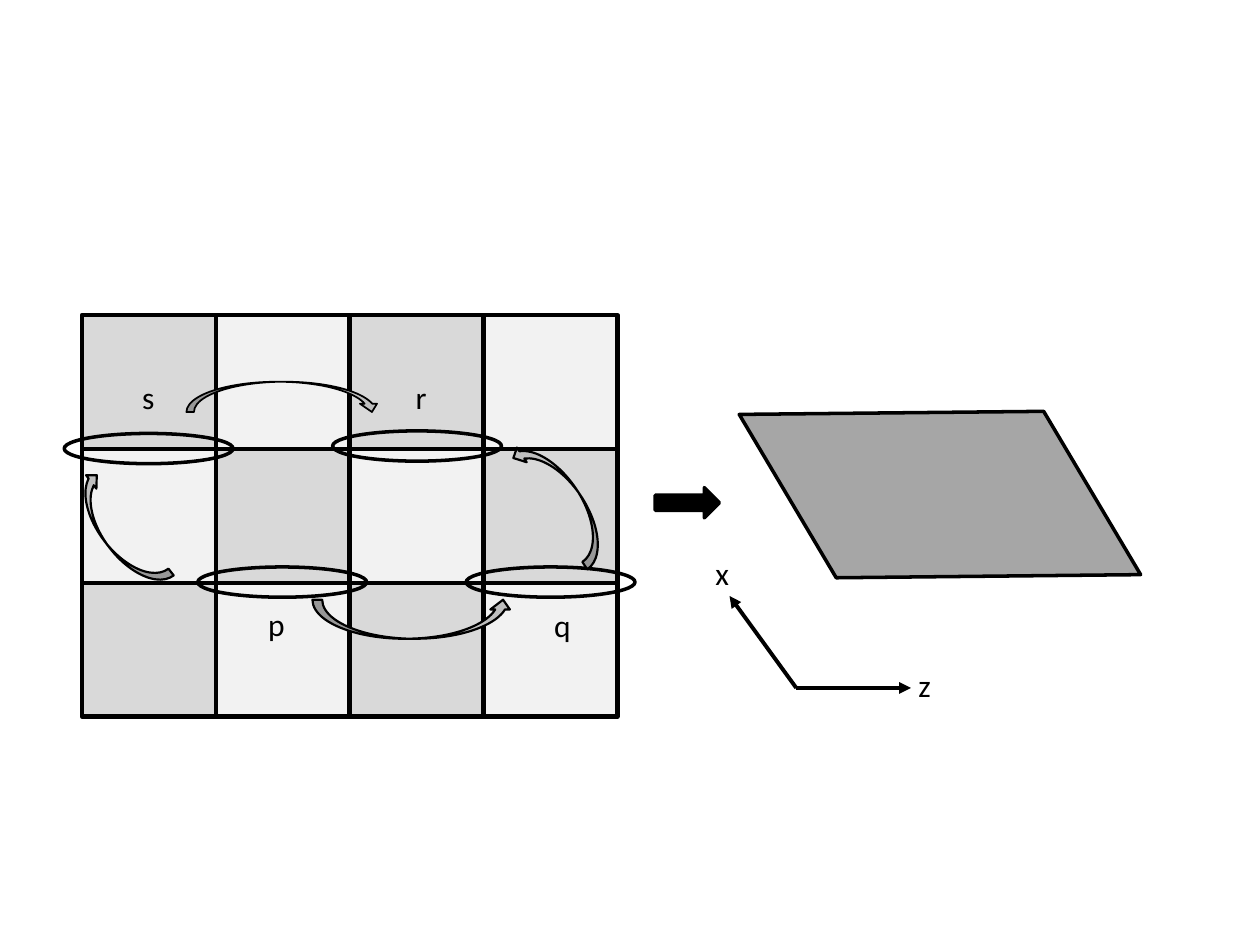
from dataclasses import dataclass
from itertools import product

from pptx import Presentation
from pptx.dml.color import RGBColor
from pptx.enum.shapes import MSO_CONNECTOR, MSO_SHAPE
from pptx.enum.text import MSO_AUTO_SIZE
from pptx.oxml.ns import qn
from pptx.oxml.xmlchemy import OxmlElement
from pptx.shapes.autoshape import Shape
from pptx.shapes.shapetree import GroupShapes
from pptx.slide import Slide
from pptx.util import Inches, Pt

COLORS = {
    "black": "000000",
    "light": "F2F2F2",
    "dark": "D9D9D9",
    "arrow": "BFBFBF",
    "sheet": "A6A6A6",
}
FONT = "Calibri"
ROWS, COLS = 3, 4
GRID_LEFT, GRID_TOP = 0.65, 2.5
CELL = 4.25 / COLS
RING_W, RING_H = 1.34, 0.24


@dataclass
class Figure:
    kind: MSO_SHAPE
    left: float
    top: float
    width: float
    height: float
    fill: str | None = None
    line: float = 2
    rotation: float = 0
    flip_v: bool = False
    adjustments: tuple[float, ...] = ()


@dataclass
class Label:
    text: str
    left: float
    top: float
    width: float = 0.21


RINGS = [
    Figure(MSO_SHAPE.OVAL, left, top, RING_W, RING_H)
    for left, top in [(0.51, 3.44), (2.64, 3.42), (1.57, 4.5), (3.7, 4.5)]
]

CURVED_ARROWS = [
    Figure(MSO_SHAPE.CURVED_UP_ARROW, 0.41, 4.09, 1.07, 0.27, "arrow", 1.25, 232.5, True),
    Figure(MSO_SHAPE.CURVED_UP_ARROW, 3.9, 3.83, 1.13, 0.28, "arrow", 1.25, 236.4),
    Figure(MSO_SHAPE.CURVED_DOWN_ARROW, 1.48, 3.03, 1.54, 0.24, "arrow", 1,
           adjustments=(0.25, 0.565, 0.273)),
    Figure(MSO_SHAPE.CURVED_UP_ARROW, 2.48, 4.76, 1.59, 0.31, "arrow", 1.25),
]

RESULT = [
    Figure(MSO_SHAPE.RIGHT_ARROW, 5.2, 3.87, 0.51, 0.24, "black"),
    Figure(MSO_SHAPE.PARALLELOGRAM, 6.1, 2.88, 2.72, 2.09, "sheet",
           rotation=239.3, adjustments=(0.58,)),
]

AXIS_ORIGIN = (6.32, 5.46)
AXIS_TIPS = [(5.79, 4.73), (7.23, 5.46)]

LABELS = [
    Label("z", 7.19, 5.24, 0.44),
    Label("x", 5.58, 4.35, 0.42),
    Label("p", 2.03, 4.75),
    Label("q", 4.3, 4.76),
    Label("r", 3.2, 2.95),
    Label("s", 1.03, 2.95),
]


def rgb(name: str) -> RGBColor:
    return RGBColor.from_string(COLORS[name])


def draw_figure(s: Slide, fig: Figure) -> Shape:
    sp = s.shapes.add_shape(fig.kind, Inches(fig.left), Inches(fig.top),
                            Inches(fig.width), Inches(fig.height))
    sp.shadow.inherit = False
    if fig.fill:
        sp.fill.solid()
        sp.fill.fore_color.rgb = rgb(fig.fill)
    else:
        sp.fill.background()
    sp.line.color.rgb = rgb("black")
    sp.line.width = Pt(fig.line)
    sp.rotation = fig.rotation
    for i, value in enumerate(fig.adjustments):
        sp.adjustments[i] = value
    if fig.flip_v:
        sp._element.spPr.find(qn("a:xfrm")).set("flipV", "1")
    return sp


def draw_checkerboard(s: Slide) -> None:
    for row, col in product(range(ROWS), range(COLS)):
        fill = "light" if (row + col) % 2 else "dark"
        draw_figure(s, Figure(MSO_SHAPE.RECTANGLE, GRID_LEFT + col * CELL,
                              GRID_TOP + row * CELL, CELL, CELL, fill, 2.5))


def draw_axis(shapes: GroupShapes, tip: tuple[float, float]) -> None:
    axis = shapes.add_connector(MSO_CONNECTOR.STRAIGHT,
                                *(Inches(v) for v in AXIS_ORIGIN + tip))
    axis.line.color.rgb = rgb("black")
    axis.line.width = Pt(2.25)
    head = OxmlElement("a:tailEnd")
    head.set("type", "triangle")
    axis.line._get_or_add_ln().append(head)
    axis._element.spPr.append(OxmlElement("a:effectLst"))


def draw_label(s: Slide, label: Label) -> None:
    box = s.shapes.add_textbox(Inches(label.left), Inches(label.top),
                               Inches(label.width), Inches(0.4))
    tf = box.text_frame
    tf.word_wrap = True
    tf.auto_size = MSO_AUTO_SIZE.SHAPE_TO_FIT_TEXT
    r = tf.paragraphs[0].add_run()
    r.text = label.text
    r.font.name = FONT
    r.font.size = Pt(18)
    r.font.color.rgb = rgb("black")


def main() -> None:
    prs = Presentation()
    prs.slide_width, prs.slide_height = Inches(10), Inches(7.5)
    s = prs.slides.add_slide(prs.slide_layouts[6])
    draw_checkerboard(s)
    for fig in RINGS + CURVED_ARROWS + RESULT:
        draw_figure(s, fig)
    axes = s.shapes.add_group_shape()
    for tip in AXIS_TIPS:
        draw_axis(axes.shapes, tip)
    for label in LABELS:
        draw_label(s, label)
    prs.save("out.pptx")


if __name__ == "__main__":
    main()
